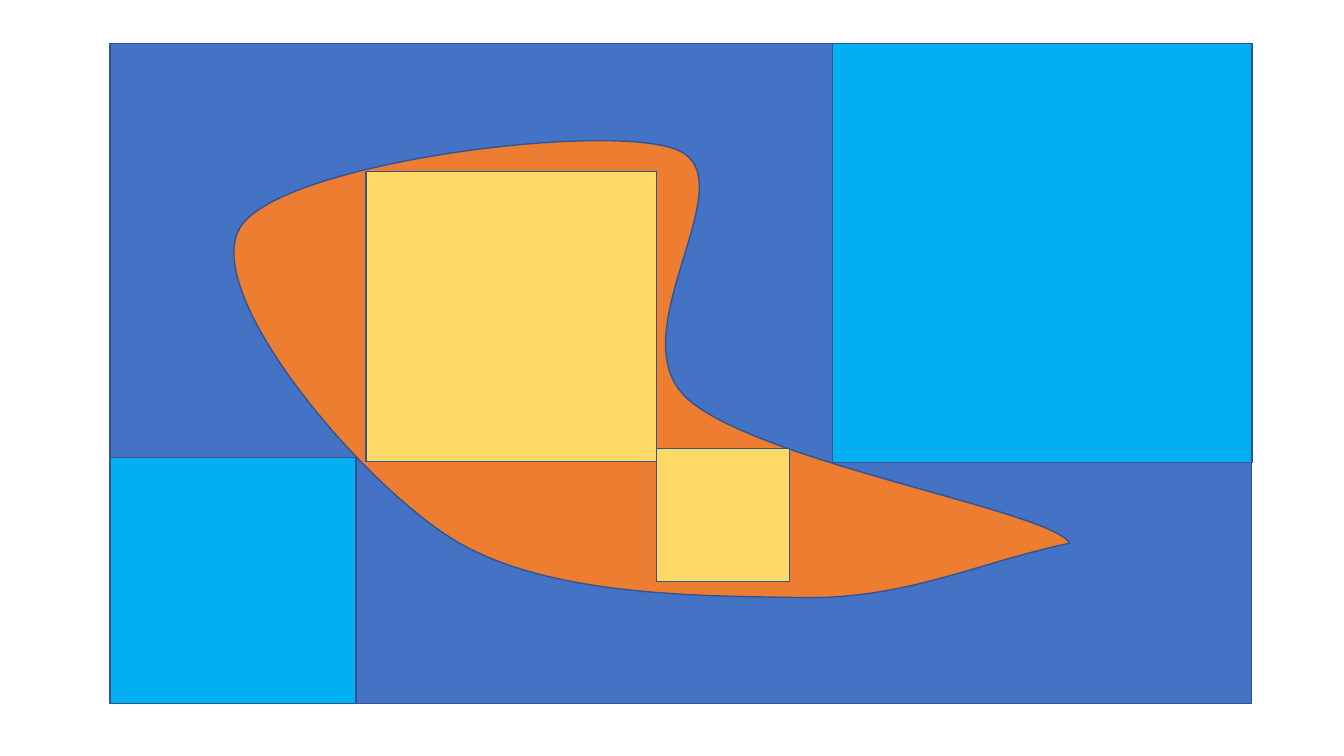
from lxml import etree
from pptx import Presentation
from pptx.dml.color import RGBColor
from pptx.enum.shapes import MSO_SHAPE
from pptx.oxml.ns import qn
from pptx.util import Inches, Pt

RECTANGLE = MSO_SHAPE.RECTANGLE
FIELD_BLUE = RGBColor(0x44, 0x72, 0xC4)
OUTLINE_BLUE = RGBColor(0x32, 0x54, 0x91)
REGION_ORANGE = RGBColor(0xED, 0x7D, 0x31)
INNER_YELLOW = RGBColor(0xFF, 0xD9, 0x66)
OUTER_CYAN = RGBColor(0x00, 0xB0, 0xF0)

SLIDE_WIDTH, SLIDE_HEIGHT = 13.33, 7.5
FIELD_LEFT, FIELD_TOP, FIELD_WIDTH, FIELD_HEIGHT = 1.09, 0.43, 11.32, 6.55
FIELD_BOTTOM = FIELD_TOP + FIELD_HEIGHT
INNER_SIDE, SMALL_INNER_SIDE = 2.88, 1.32
UPPER_OUTER_SIDE, LOWER_OUTER_SIDE = 4.16, 2.44
SHARED_EDGE = 6.51

SQUARES = [
    (SHARED_EDGE - INNER_SIDE, 1.7, INNER_SIDE, INNER_YELLOW),
    (SHARED_EDGE, 4.45, SMALL_INNER_SIDE, INNER_YELLOW),
    (8.26, FIELD_TOP, UPPER_OUTER_SIDE, OUTER_CYAN),
    (FIELD_LEFT, FIELD_BOTTOM - LOWER_OUTER_SIDE, LOWER_OUTER_SIDE, OUTER_CYAN),
]

REGION_LEFT, REGION_TOP, REGION_RIGHT, REGION_BOTTOM = 2.32, 1.4, 10.61, 5.93
REGION_START = (6.7, 1.48)
REGION_CURVES = [
    ((5.97, 1.21), (2.76, 1.62), (2.38, 2.26)),
    ((2, 2.9), (3.5, 4.7), (4.43, 5.31)),
    ((5.36, 5.93), (6.95, 5.91), (7.98, 5.93)),
    ((9.01, 5.94), (9.73, 5.57), (10.61, 5.39)),
    ((10.42, 5.06), (7.45, 4.58), (6.79, 3.93)),
    ((6.14, 3.27), (7.44, 1.76), REGION_START),
]


def paint(shape, color):
    shape.shadow.inherit = False
    shape.fill.solid()
    shape.fill.fore_color.rgb = color
    shape.line.color.rgb = OUTLINE_BLUE
    shape.line.width = Pt(1)


def add_rectangle(shapes, left, top, width, height, color):
    lengths = [Inches(length) for length in (left, top, width, height)]
    paint(shapes.add_shape(RECTANGLE, *lengths), color)


def add_command(outline, tag, points):
    command = etree.SubElement(outline, qn(tag))
    for x, y in points:
        point = etree.SubElement(command, qn("a:pt"))
        point.set("x", str(Inches(x - REGION_LEFT)))
        point.set("y", str(Inches(y - REGION_TOP)))


def add_region(shapes):
    left, top, right, bottom = [
        Inches(edge) for edge in (REGION_LEFT, REGION_TOP, REGION_RIGHT, REGION_BOTTOM)
    ]
    builder = shapes.build_freeform(left, top)
    builder.add_line_segments([(right, top), (right, bottom), (left, bottom)])
    region = builder.convert_to_shape()
    outline = region._element.find(".//" + qn("a:path"))
    for command in list(outline):
        outline.remove(command)
    add_command(outline, "a:moveTo", [REGION_START])
    for curve in REGION_CURVES:
        add_command(outline, "a:cubicBezTo", curve)
    add_command(outline, "a:close", [])
    paint(region, REGION_ORANGE)


presentation = Presentation()
presentation.slide_width = Inches(SLIDE_WIDTH)
presentation.slide_height = Inches(SLIDE_HEIGHT)
slide = presentation.slides.add_slide(presentation.slide_layouts[6])
shapes = slide.shapes.add_group_shape().shapes

add_rectangle(shapes, FIELD_LEFT, FIELD_TOP, FIELD_WIDTH, FIELD_HEIGHT, FIELD_BLUE)
add_region(shapes)
for left, top, side, color in SQUARES:
    add_rectangle(shapes, left, top, side, side, color)

presentation.save("out.pptx")
